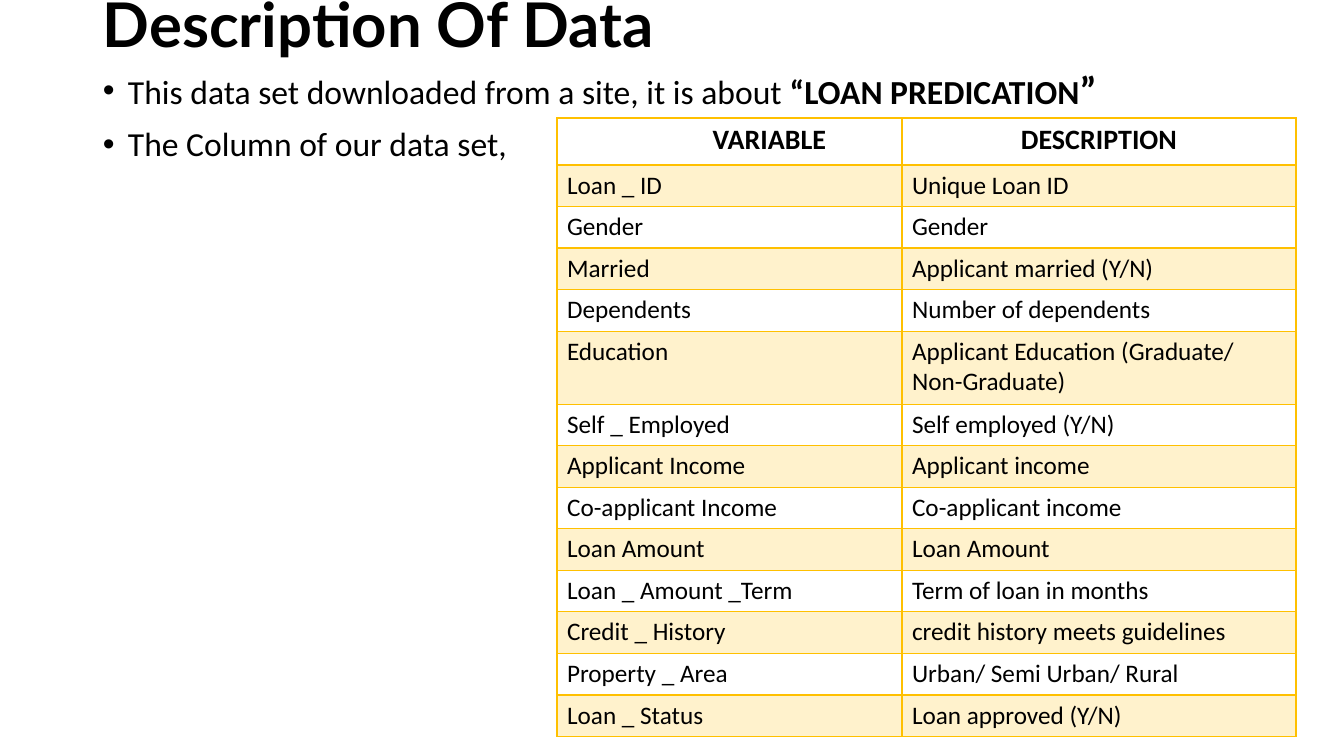
from lxml import etree
from pptx import Presentation
from pptx.dml.color import RGBColor
from pptx.enum.text import MSO_ANCHOR, PP_ALIGN
from pptx.oxml.ns import qn
from pptx.util import Pt

SCALE = 914400 / 100.8
MIDDLE, TOP = MSO_ANCHOR.MIDDLE, MSO_ANCHOR.TOP
CENTER, LEFT = PP_ALIGN.CENTER, PP_ALIGN.LEFT
BLACK, GOLD = "000000", "FFC000"

BULLETS = [
    [("This data set downloaded from a site, it is about ", 24, False),
     ("“LOAN PREDICATION", 24, True), ("”", 28, True)],
    [("The Column of our data set,", 24, False)],
]
VARIABLES = [
    ("VARIABLE", "DESCRIPTION"),
    ("Loan _ ID", "Unique Loan ID"),
    ("Gender", "Gender"),
    ("Married", "Applicant married (Y/N)"),
    ("Dependents", "Number of dependents"),
    ("Education", "Applicant Education (Graduate/ Non-Graduate)"),
    ("Self _ Employed", "Self employed (Y/N)"),
    ("Applicant Income", "Applicant income"),
    ("Co-applicant Income", "Co-applicant income"),
    ("Loan Amount", "Loan Amount"),
    ("Loan _ Amount _Term", "Term of loan in months"),
    ("Credit _ History", "credit history meets guidelines"),
    ("Property _ Area", "Urban/ Semi Urban/ Rural"),
    ("Loan _ Status", "Loan approved (Y/N)"),
]


def emu(pixels):
    return round(pixels * SCALE)


def color(value):
    return RGBColor.from_string(value)


def assign(target, values):
    for name, value in values.items():
        setattr(target, name, value)


def add_span(para, text, size, bold, font="Calibri"):
    span = para.add_run()
    span.text = text
    assign(span.font, {"name": font, "size": Pt(size), "bold": bold})
    span.font.color.rgb = color(BLACK)


def add_frame(page, box, anchor):
    frame = page.shapes.add_textbox(*map(emu, box)).text_frame
    assign(frame, {"word_wrap": True, "vertical_anchor": anchor})
    return frame


def add_title(page, box):
    para = add_frame(page, box, MIDDLE).paragraphs[0]
    para.line_spacing = 0.9
    add_span(para, "Description Of Data", 44, True, "Lato")


def add_bullets(page, box):
    frame = add_frame(page, box, TOP)
    for index, spans in enumerate(BULLETS):
        para = frame.add_paragraph() if index else frame.paragraphs[0]
        assign(para, {"line_spacing": 0.9, "space_before": Pt(10)})
        props = para._p.get_or_add_pPr()
        props.set("marL", str(emu(25)))
        props.set("indent", str(-emu(25)))
        etree.SubElement(props, qn("a:buFont")).set("typeface", "Arial")
        etree.SubElement(props, qn("a:buChar")).set("char", "•")
        for span in spans:
            add_span(para, *span)


def add_borders(cell, widths):
    props = cell._tc.get_or_add_tcPr()
    for side, width in zip("LRTB", widths):
        line = etree.SubElement(props, qn("a:ln" + side), w=str(Pt(width)))
        fill = etree.SubElement(line, qn("a:solidFill"))
        etree.SubElement(fill, qn("a:srgbClr"), val=GOLD)


def fill_band(cell):
    cell.fill.solid()
    cell.fill.fore_color.rgb = color(GOLD)
    tint = cell._tc.tcPr.findall(qn("a:solidFill"))[0][0]
    etree.SubElement(tint, qn("a:alpha"), val="20000")


def add_variables(page, box):
    left, top, width, height = box
    count = len(VARIABLES)
    table = page.shapes.add_table(count, 2, *map(emu, box)).table
    assign(table, {"first_row": False, "horz_banding": False})
    first_width, header_height, tall_height, tall_row = 345, 47, 73, 5
    table.columns[0].width = emu(first_width)
    table.columns[1].width = emu(width - first_width)
    plain_height = (height - header_height - tall_height) / (count - 2)
    special = {0: header_height, tall_row: tall_height}
    for index, texts in enumerate(VARIABLES):
        header = index == 0
        table.rows[index].height = emu(special.get(index, plain_height))
        for column, text in enumerate(texts):
            cell = table.cell(index, column)
            add_borders(cell, (1, 1, 2 if index == 1 else 1, 2 if header else 1))
            if index % 2:
                fill_band(cell)
            else:
                cell.fill.background()
            para = cell.text_frame.paragraphs[0]
            para.alignment = CENTER if header else LEFT
            add_span(para, text, 20 if header else 18, header)
    table.cell(0, 0).margin_left = emu(90)


def build_data_page(deck, box):
    left, top, width, height = box
    page = deck.slides.add_slide(deck.slide_layouts[6])
    add_title(page, (left + 93, top - 11, width - 185, 77))
    add_bullets(page, (left + 93, top + 66, width - 185, height - 106))
    add_variables(page, (left + 557, top + 118, width - 605, height - 137))


deck = Presentation()
assign(deck, {"slide_width": emu(1344), "slide_height": emu(756)})
build_data_page(deck, (0, 0, 1344, 756))
deck.save("out.pptx")
